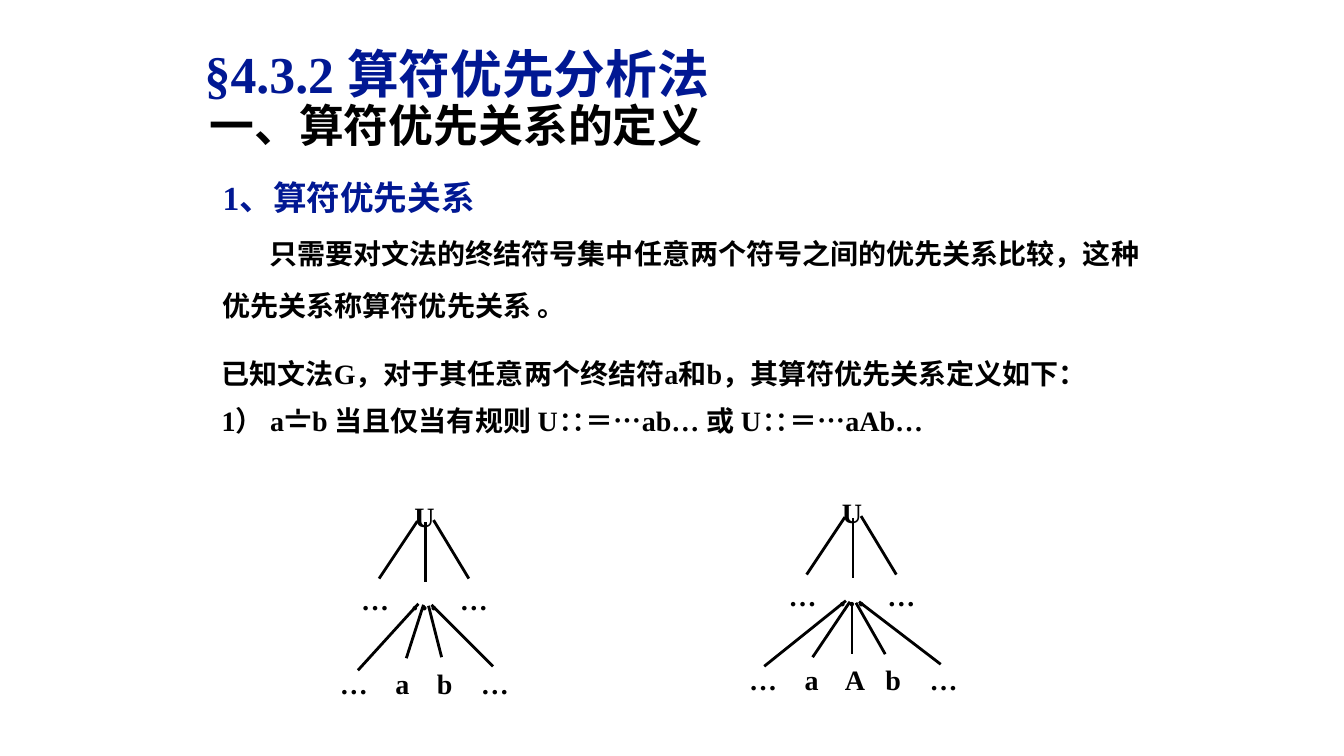
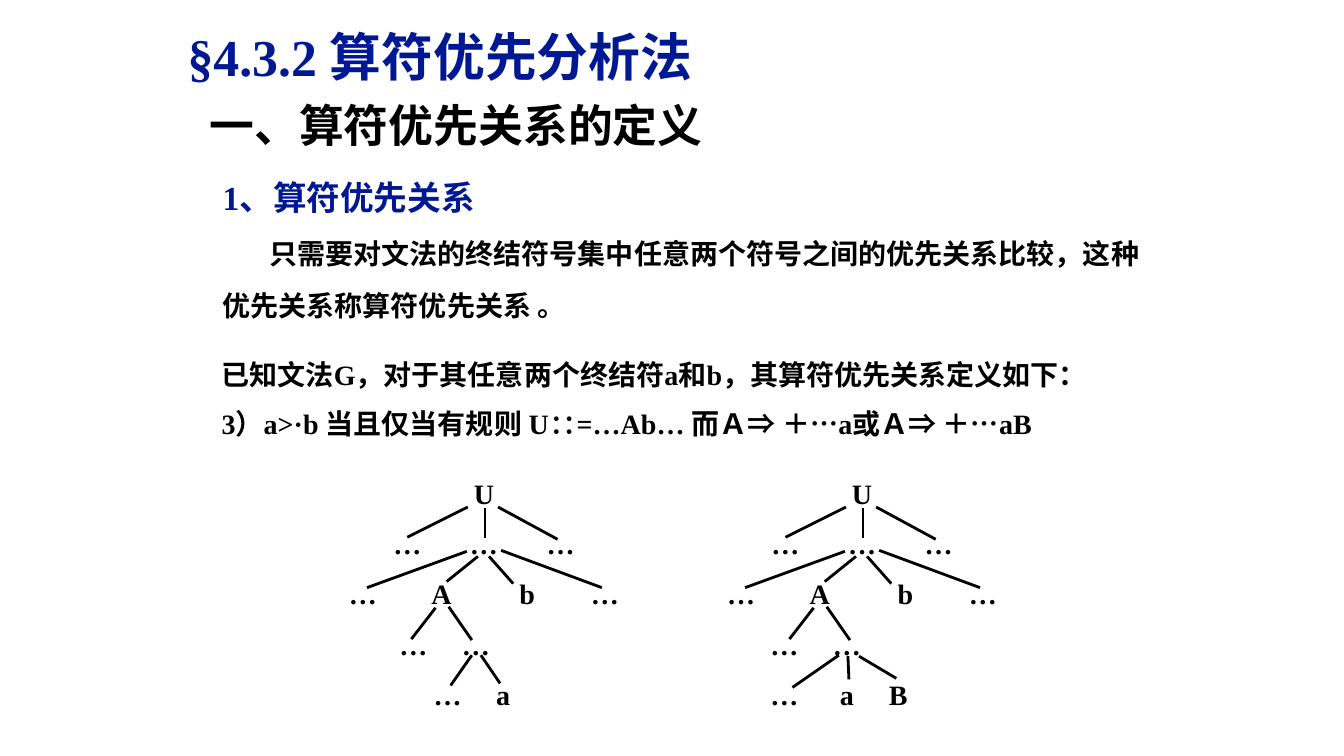
from dataclasses import dataclass

from lxml import etree
from pptx import Presentation
from pptx.dml.color import RGBColor
from pptx.enum.shapes import MSO_CONNECTOR
from pptx.enum.text import MSO_ANCHOR, MSO_AUTO_SIZE, PP_ALIGN
from pptx.oxml.ns import qn
from pptx.util import Pt

STRAIGHT = MSO_CONNECTOR.STRAIGHT
TOP, MIDDLE = MSO_ANCHOR.TOP, MSO_ANCHOR.MIDDLE
LEFT, CENTER, JUSTIFY = PP_ALIGN.LEFT, PP_ALIGN.CENTER, PP_ALIGN.JUSTIFY
NO_FIT = MSO_AUTO_SIZE.NONE
TITLE_ONLY = 5


@dataclass(frozen=True)
class Theme:
    """Colours, fonts, type sizes and line width of the deck."""
    blue: RGBColor = RGBColor(0x01, 0x18, 0x93)
    black: RGBColor = RGBColor(0, 0, 0)
    white: RGBColor = RGBColor(255, 255, 255)
    serif: str = "Times New Roman"
    sans: str = "Calibri"
    title: int = 37
    heading: int = 32
    topic: int = 24
    body: int = 20
    line: int = 2


T = Theme()
ROWS, COLS = 7.5, 13.33
CELL = 914400

TITLE = "§4.3.2 算符优先分析法"
HEADING = "一、算符优先关系的定义"
TOPIC = "1、算符优先关系"
EXPLANATION = "只需要对文法的终结符号集中任意两个符号之间的优先关系比较，这种优先关系称算符优先关系 。"
PREMISE = "已知文法G，对于其任意两个终结符a和b，其算符优先关系定义如下："

DOTS = "…"
FAN_EDGES = [(-.07, .05, -.45, .62), (.09, .04, .44, .62), (.01, .06, .01, .65)]
FAN_ROWS = [[("U", 0)], [(DOTS, -.49), (DOTS, 0), (DOTS, .49)]]
EQUAL_TREES = [
    ((4.21, 5.12),
     FAN_ROWS + [[(DOTS, -.7), ("a", -.22), ("b", .2), (DOTS, .7)]],
     FAN_EDGES + [(-.06, .87, -.66, 1.53), (.07, .88, .68, 1.49),
                  (-.01, .88, -.18, 1.41), (.04, .89, .17, 1.4)]),
    ((8.45, 5.08),
     FAN_ROWS + [[(DOTS, -.88), ("a", -.4), ("A", .03), ("b", .41), (DOTS, .91)]],
     FAN_EDGES + [(-.06, .88, -.87, 1.53), (.07, .89, .88, 1.51),
                  (-.02, .89, -.39, 1.44), (.04, .9, .33, 1.41),
                  (0, .92, 0, 1.41)]),
]

DEEP_EDGES = [(.01, .15, .01, .45), (-.16, .14, -.76, .44), (.14, .14, .73, .46),
              (.17, .57, 1.17, .94), (-.17, .58, -1.16, .94),
              (-.06, .63, -.37, .88), (.05, .63, .29, .9),
              (-.72, 1.45, -.48, 1.14), (-.12, 1.46, -.35, 1.13)]
DEEP_ROWS = [[("U", 0)], [(DOTS, -.76), (DOTS, 0), (DOTS, .76)],
             [(DOTS, -1.2), ("A", -.42), ("b", .43), (DOTS, 1.2)]]
GREATER_TREES = [
    ((4.8, 4.89),
     DEEP_ROWS + [[(DOTS, -.7), (DOTS, -.08)], [(DOTS, -.36), ("a", .19)]],
     DEEP_EDGES + [(-.33, 1.91, -.12, 1.61), (.16, 1.89, -.03, 1.61)]),
    ((8.55, 4.89),
     DEEP_ROWS + [[(DOTS, -.77), (DOTS, -.15)],
                  [(DOTS, -.77), ("a", -.15), ("B", .36)]],
     DEEP_EDGES + [(-.69, 1.93, -.23, 1.61), (.34, 1.84, -.03, 1.62),
                   (-.14, 1.62, -.13, 1.85)]),
]


def grid(*cells):
    """Turn grid columns and rows into slide lengths."""
    return [round(c * CELL) for c in cells]


def style(p, size, color=T.black, font=T.serif, align=LEFT, spacing=1.0):
    """Format a paragraph and its runs."""
    p.alignment, p.line_spacing = align, spacing
    for r in p.runs:
        f = r.font
        f.name, f.size, f.bold = font, Pt(size), True
        f.color.rgb = color


def indent(p, margin, first):
    """Set the left margin and first-line indent of a paragraph."""
    pPr = p._p.get_or_add_pPr()
    for name, value in zip(("marL", "indent"), grid(margin, first)):
        pPr.set(name, str(value))


def add_text(s, box, lines, wrap=True):
    """Add a text box with one paragraph for each line."""
    tf = s.shapes.add_textbox(*grid(*box)).text_frame
    tf.word_wrap, tf.vertical_anchor = wrap, TOP
    tf.text = "\n".join(lines)
    return tf


def add_title(s, box):
    """Place and format the title placeholder."""
    sp = s.shapes.title
    sp.left, sp.top, sp.width, sp.height = grid(*box)
    tf = sp.text_frame
    tf.text = TITLE
    tf.word_wrap, tf.auto_size, tf.vertical_anchor = True, NO_FIT, TOP
    style(tf.paragraphs[0], T.title, T.blue, spacing=1.2)


def add_intro(s, heading_box, body_box):
    """Add the section heading and the explanation of the topic."""
    tf = add_text(s, heading_box, [HEADING], wrap=False)
    style(tf.paragraphs[0], T.heading, spacing=1.5)
    topic, body = add_text(s, body_box, [TOPIC, EXPLANATION]).paragraphs
    style(topic, T.topic, T.blue, align=JUSTIFY, spacing=1.55)
    style(body, T.body, font=T.sans, align=JUSTIFY, spacing=1.55)
    indent(body, 0, .46)


def add_rule(s, box, rule, spacing):
    """Add the premise and the rule that defines a relation."""
    for p in add_text(s, box, [PREMISE, rule]).paragraphs:
        style(p, T.body, align=JUSTIFY, spacing=spacing)
        indent(p, .49, -.49)


def add_tree(s, root, rows, edges, step, side=.4):
    """Draw a syntax tree placed relative to the centre of its root."""
    x, y = root
    for i, row in enumerate(rows):
        for label, dx in row:
            box = (x + dx - side / 2, y + i * step - side / 2, side, side)
            tf = add_text(s, box, [label], wrap=False)
            tf.margin_left = tf.margin_right = tf.margin_top = tf.margin_bottom = 0
            tf.vertical_anchor = MIDDLE
            style(tf.paragraphs[0], T.body, align=CENTER)
    for x1, y1, x2, y2 in edges:
        ends = grid(x + x1, y + y1, x + x2, y + y2)
        cn = s.shapes.add_connector(STRAIGHT, *ends)
        cn.line.color.rgb, cn.line.width = T.black, Pt(T.line)
        etree.SubElement(cn._element.spPr, qn("a:effectLst"))


def add_relation_slide(prs, title_at, rule, spacing, trees, step):
    """Add a slide that defines one precedence relation with its trees."""
    s = prs.slides.add_slide(prs.slide_layouts[TITLE_ONLY])
    s.background.fill.solid()
    s.background.fill.fore_color.rgb = T.white
    add_title(s, (*title_at, 9.67, .86))
    add_intro(s, (1.98, .65, 5.16, .81), (2.11, 1.49, 9.29, 1.76))
    add_rule(s, (2.1, 3.35, 9.18, 1.05), rule, spacing)
    for root, rows, edges in trees:
        add_tree(s, root, rows, edges, step)


def main():
    """Build and save the deck."""
    prs = Presentation()
    prs.slide_width, prs.slide_height = grid(COLS, ROWS)
    add_relation_slide(prs, (1.93, .24), "1） a〧b 当且仅当有规则 U∷＝…ab… 或 U∷＝…aAb…",
                       1.4, EQUAL_TREES, .83)
    add_relation_slide(prs, (1.76, .07), "3）a>·b 当且仅当有规则 U∷=…Ab… 而Ａ⇒ ＋…a或Ａ⇒ ＋…aB",
                       1.45, GREATER_TREES, .5)
    prs.save("out.pptx")


if __name__ == "__main__":
    main()
